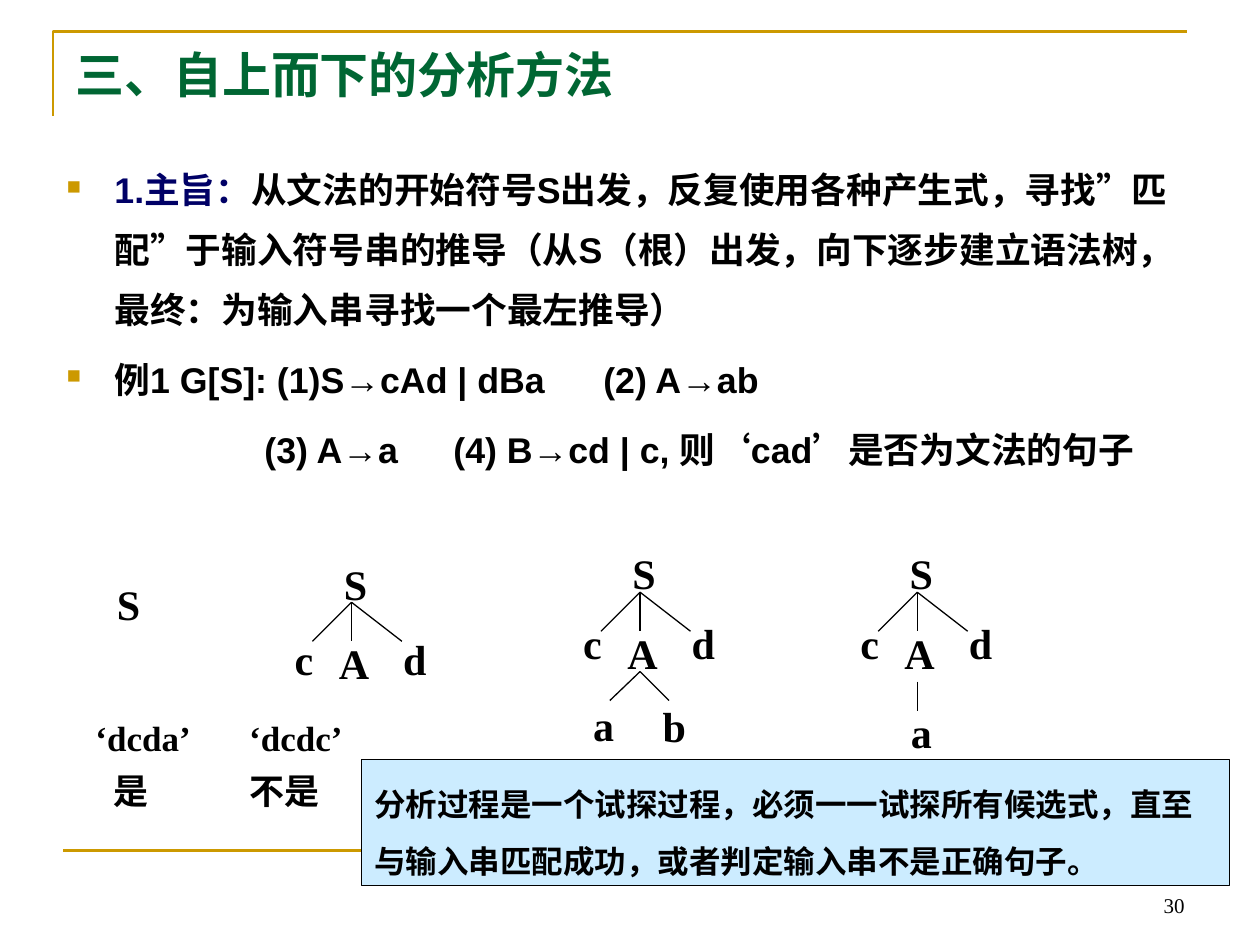
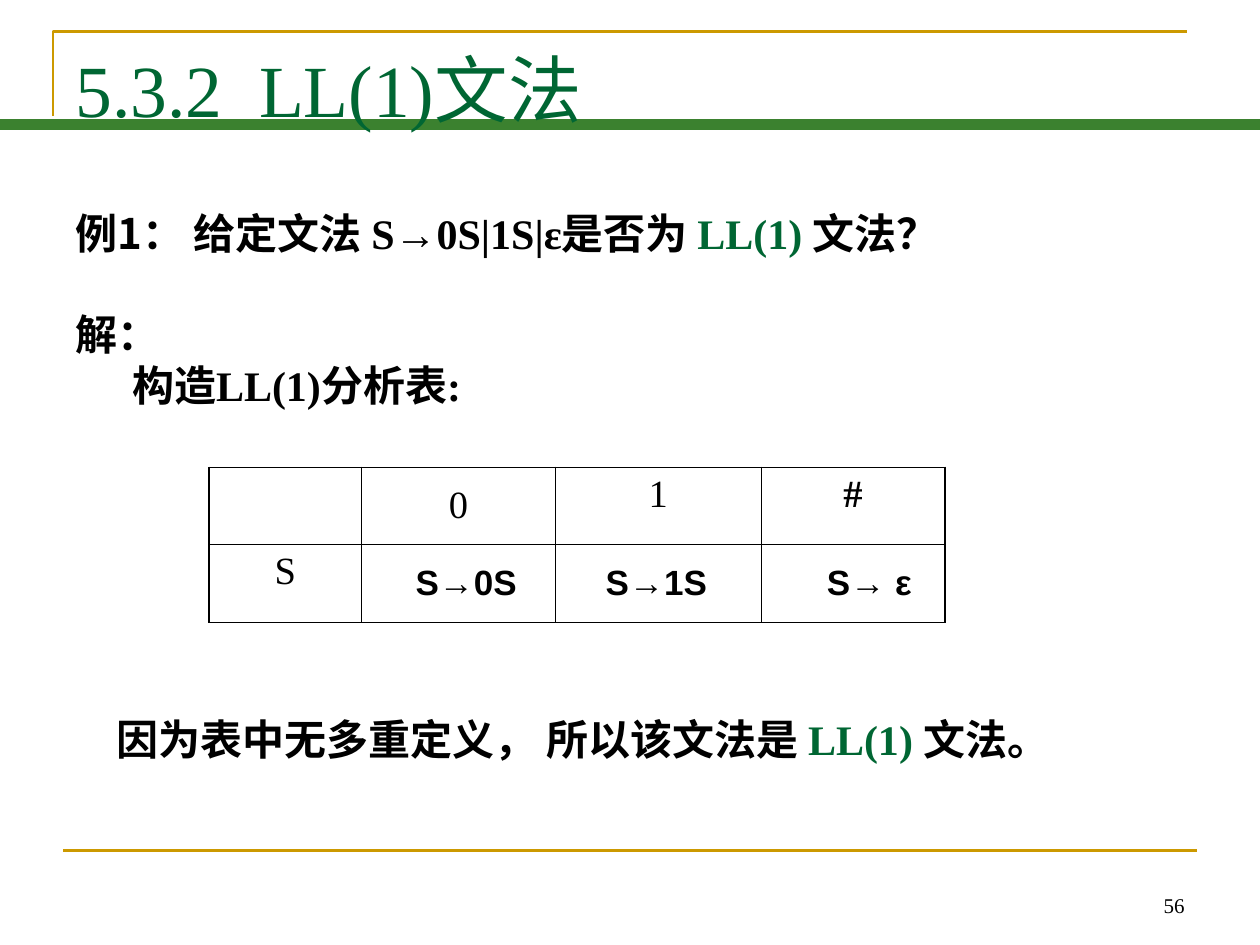
from dataclasses import dataclass

from lxml.etree import SubElement as Sub
from pptx import Presentation
from pptx.dml.color import RGBColor as RGB
from pptx.enum.shapes import MSO_CONNECTOR as Conn, MSO_SHAPE as Shape
from pptx.enum.text import MSO_ANCHOR as Anchor, PP_ALIGN as Align
from pptx.oxml.ns import qn
from pptx.util import Inches, Pt


@dataclass(frozen=True)
class Theme:
    gold: str = "CC9900"
    green: str = "006633"
    band: str = "3B812F"
    navy: str = "000066"
    black: str = "000000"
    pale: str = "CCECFF"
    serif: str = "Times New Roman"
    sans: str = "Arial"
    cjk: str = "Noto Sans CJK SC"
    number: float = 12
    callout: float = 18
    answer: float = 20
    body: float = 20.4
    cell: float = 22
    text: float = 24
    title: float = 28
    heading: float = 42
    rule: float = 1.5
    edge: float = 0.75
    outer: float = 1.08
    inner: float = 0.45


T = Theme()
prs = Presentation()
prs.slide_width, prs.slide_height = Inches(10), Inches(7.5)
COL, ROW = prs.slide_width / 100, prs.slide_height / 75


def write(tf, paras, size, bold=True, font=T.serif, align=Align.LEFT, anchor=Anchor.TOP):
    tf.word_wrap, tf.vertical_anchor = True, anchor
    for i, runs in enumerate(paras):
        p = tf.paragraphs[0] if i == 0 else tf.add_paragraph()
        p.alignment = align
        for words, color, *face in runs:
            r = p.add_run()
            r.text = words
            r.font.size, r.font.bold = Pt(size), bold
            r.font.name = face[0] if face else font
            r.font.color.rgb = RGB.from_string(color)
    return tf


def draw_line(s, x1, y1, x2, y2, color, width):
    c = s.shapes.add_connector(Conn.STRAIGHT, int(x1 * COL), int(y1 * ROW), int(x2 * COL), int(y2 * ROW))
    c.line.color.rgb, c.line.width = RGB.from_string(color), Pt(width)
    Sub(c._element.spPr, qn("a:effectLst"))


slides = []
for title, size, bold, number, band in (
    ("三、自上而下的分析方法", T.title, True, "30", False),
    ("5.3.2  LL(1)文法", T.heading, False, "56", True),
):
    s = prs.slides.add_slide(prs.slide_layouts[6])
    slides.append(s)
    fb = s.shapes.build_freeform(int(4.2 * COL), int(9.2 * ROW))
    fb.add_line_segments([(int(x * COL), int(y * ROW)) for x, y in ((4.2, 2.5), (94.2, 2.5))], close=False)
    corner = fb.convert_to_shape()
    corner.shadow.inherit = False
    corner.fill.background()
    corner.line.color.rgb, corner.line.width = RGB.from_string(T.gold), Pt(T.rule)
    draw_line(s, 5, 67.5, 95, 67.5, T.gold, T.rule)
    if band:
        draw_line(s, 0, 9.9, 100, 9.9, T.band, 6)
    sp = s.shapes.add_textbox(int(71.7 * COL), int(68.3 * ROW), int(23.3 * COL), int(5 * ROW))
    write(sp.text_frame, [[(number, T.black)]], T.number, False, align=Align.RIGHT, anchor=Anchor.BOTTOM)
    sp = s.shapes.add_textbox(int(5 * COL), int(3 * ROW), int(90 * COL), int(8.5 * ROW))
    write(sp.text_frame, [[(title, T.green)]], size, bold)

s = slides[0]
sp = s.shapes.add_textbox(int(4.3 * COL), int(11.5 * ROW), int(89.8 * COL), int(30.7 * ROW))
tf = write(sp.text_frame, [
    [("1.主旨：", T.navy),
     ("从文法的开始符号S出发，反复使用各种产生式，寻找”匹配”于输入符号串的推导（从S（根）出发，"
      "向下逐步建立语法树，最终：为输入串寻找一个最左推导）", T.black)],
    [("例1 G[S]: (1)S→cAd | dBa\t(2) A→ab", T.black)],
    [("(3) A→a\t(4) B→cd | c, 则‘cad’是否为文法的句子", T.black)],
], T.body, font=T.sans)
for i, (p, left, tab) in enumerate(zip(tf.paragraphs, (3.8, 3.8, 15.7), (None, 42.6, 30.2))):
    p.line_spacing = 1.4
    p.space_before = Pt(5.5 if i else 0)
    pPr = p._p.get_or_add_pPr()
    pPr.set("marL", str(int(left * COL)))
    pPr.set("indent", str(int(-3.8 * COL) if i < 2 else 0))
    if i < 2:
        Sub(Sub(pPr, qn("a:buClr")), qn("a:srgbClr"), val=T.gold)
        Sub(pPr, qn("a:buSzPct"), val="55000")
        Sub(pPr, qn("a:buChar"), char="■")
    if tab:
        Sub(Sub(pPr, qn("a:tabLst")), qn("a:tab"), pos=str(int(tab * COL)), algn="l")

labels = [("S", 8.3, 45.4)]
fan = [(0, 0, -3.1, 3.1), (0, 0, 4, 3.1), (0, 0, 0, 3.1)]
for x, y, drop, leaves, twigs in (
    (27.9, 47.8, 2, [], []),
    (50.8, 47, 1.5, [("a", -4.7, 8), ("b", 0.8, 8.1)], [(0, 6.3, -2.4, 8.6), (0, 6.3, 2.3, 8.6)]),
    (72.8, 47, 1.5, [("a", -1.5, 8.6)], [(0, 7.1, 0, 9.4)]),
):
    nodes = [("S", -1.6, -4), ("c", -5.5, drop), ("A", -2, 2.3), ("d", 3.1, drop)]
    labels += [(name, x + dx, y + dy) for name, dx, dy in nodes + leaves]
    for x1, y1, x2, y2 in fan + twigs:
        draw_line(s, x + x1, y + y1, x + x2, y + y2, T.black, T.edge)
for name, x, y in labels:
    sp = s.shapes.add_textbox(int(x * COL), int(y * ROW), int(5.5 * COL), int(5 * ROW))
    write(sp.text_frame, [[(name, T.black)]], T.text)

for words, x, y, w in (("‘dcda’\t‘dcdc’", 6.6, 56.4, 24), ("是", 8, 60.6, 6), ("不是", 18.8, 60.6, 9)):
    sp = s.shapes.add_textbox(int(x * COL), int(y * ROW), int(w * COL), int(4.4 * ROW))
    tf = write(sp.text_frame, [[(words, T.black)]], T.answer)
    if "\t" in words:
        pPr = tf.paragraphs[0]._p.get_or_add_pPr()
        Sub(Sub(pPr, qn("a:tabLst")), qn("a:tab"), pos=str(int(12.2 * COL)), algn="l")

sp = s.shapes.add_shape(Shape.RECTANGLE, int(28.7 * COL), int(60.3 * ROW), int(68.9 * COL), int(10 * ROW))
sp.shadow.inherit = False
sp.fill.solid()
sp.fill.fore_color.rgb = RGB.from_string(T.pale)
sp.line.color.rgb, sp.line.width = RGB.from_string(T.black), Pt(T.edge)
tf = write(sp.text_frame, [[(
    "分析过程是一个试探过程，必须一一试探所有候选式，直至与输入串匹配成功，或者判定输入串不是正确句子。",
    T.black)]], T.callout)
tf.paragraphs[0].line_spacing = 1.5

s = slides[1]
sp = s.shapes.add_textbox(int(5 * COL), int(16 * ROW), int(94 * COL), int(17 * ROW))
tf = write(sp.text_frame, [
    [("例1", T.black, T.cjk), ("： 给定文法 S→0S|1S|ε是否为 ", T.black), ("LL(1) ", T.green), ("文法？", T.black)],
    [("解：", T.black, T.cjk)],
    [("构造LL(1)分析表:", T.black)],
], T.text)
tf.paragraphs[1].space_before = Pt(29)
tf.paragraphs[2]._p.get_or_add_pPr().set("marL", str(int(4.5 * COL)))

grid = [["", "0", "1", "#"], ["S", "", "", ""]]
gf = s.shapes.add_table(2, 4, int(16.6 * COL), int(37.1 * ROW), int(58.4 * COL), int(12.3 * ROW))
tbl = gf.table
tbl.first_row = tbl.horz_banding = False
for column, w in zip(tbl.columns, (12.1, 15.4, 16.3, 14.6)):
    column.width = int(w * COL)
for row, h in zip(tbl.rows, (6.1, 6.2)):
    row.height = int(h * ROW)
for i, row in enumerate(grid):
    for j, words in enumerate(row):
        cell = tbl.cell(i, j)
        if words:
            write(cell.text_frame, [[(words, T.black)]], T.cell, words == "#", align=Align.CENTER)
        cell.vertical_anchor = Anchor.MIDDLE if words == "0" else Anchor.TOP
        tcPr = cell._tc.get_or_add_tcPr()
        for side, is_outer in (("L", j == 0), ("R", j == 3), ("T", i == 0), ("B", i == 1)):
            ln = Sub(tcPr, qn(f"a:ln{side}"), w=str(Pt(T.outer if is_outer else T.inner)))
            Sub(Sub(ln, qn("a:solidFill")), qn("a:srgbClr"), val=T.black)
        cell.fill.background()

for words, x in (("S→0S", 31), ("S→1S", 46.1), ("S→ ε", 63)):
    sp = s.shapes.add_textbox(int(x * COL), int(44 * ROW), int(12 * COL), int(7.7 * ROW))
    write(sp.text_frame, [[(words, T.black)]], T.answer, font=T.sans, align=Align.CENTER)

sp = s.shapes.add_textbox(int(8.3 * COL), int(56.1 * ROW), int(81.9 * COL), int(5 * ROW))
write(sp.text_frame, [[
    ("因为表中无多重定义， 所以该文法是 ", T.black), ("LL(1) ", T.green), ("文法", T.black), ("。", T.black, T.cjk),
]], T.text)

prs.save("out.pptx")
